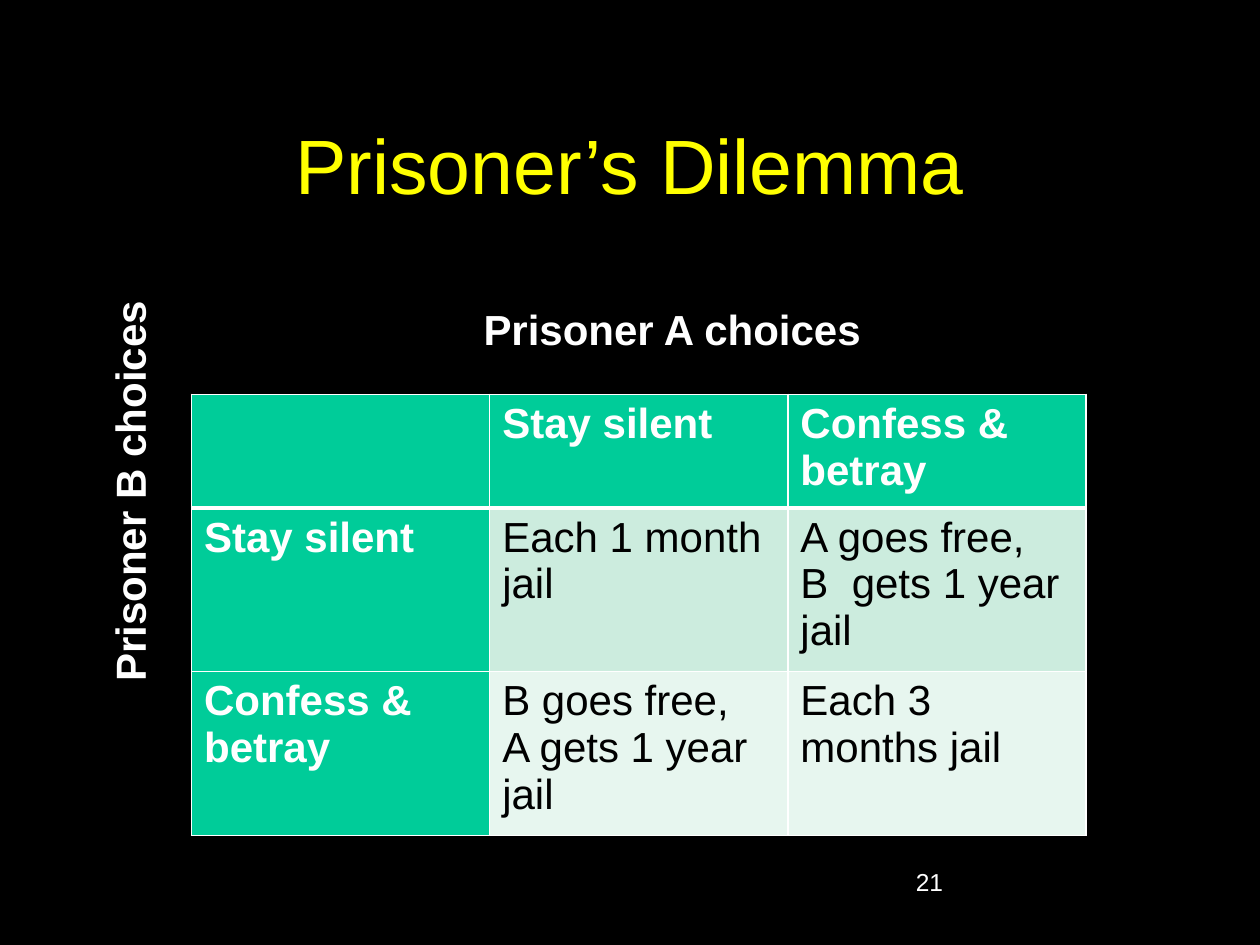
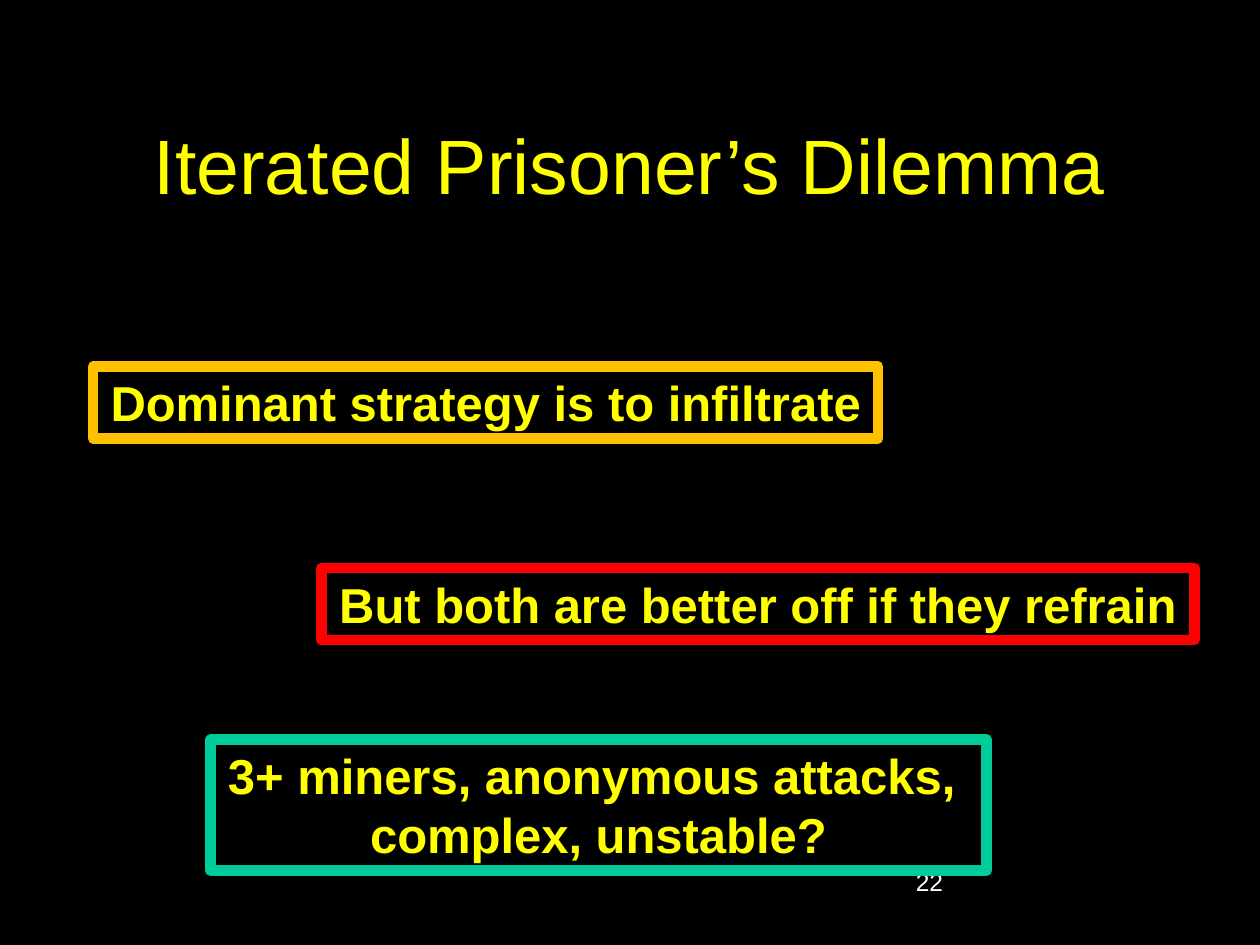
from pptx import Presentation
from pptx.dml.color import RGBColor as RGB
from pptx.enum.shapes import MSO_SHAPE as Shape
from pptx.enum.text import MSO_ANCHOR as Anchor, PP_ALIGN as Align
from pptx.oxml import parse_xml
from pptx.oxml.ns import nsdecls
from pptx.util import Inches, Pt

# Colours
BLACK = RGB(0, 0, 0)
WHITE = RGB(255, 255, 255)
YELLOW = RGB(255, 255, 0)
GREEN = RGB(0x00, 0xCC, 0x99)
MINT = RGB(0xCC, 0xEC, 0xDE)
PALE = RGB(0xE7, 0xF6, 0xEF)
AMBER = RGB(0xFF, 0xC0, 0x00)
RED = RGB(255, 0, 0)

# Text styles: font values, then colour
TITLE = {"size": Pt(44), "bold": False}, YELLOW
NUMBER = {"size": Pt(14), "bold": False}, WHITE
HEAD = {"size": Pt(24), "bold": True}, WHITE
BODY = {"size": Pt(24), "bold": False}, BLACK
CLAIM = {"size": Pt(28), "bold": True}, YELLOW

# Content
PAYOFF = [
    ["", "Stay silent", "Confess & betray"],
    ["Stay silent", "Each 1 month jail", "A goes free, \nB  gets 1 year jail"],
    ["Confess & betray", "B goes free, \nA gets 1 year jail", "Each 3 months jail"],
]
ROWS = [0.84, 1.22, 1.22]
FILLS = [GREEN, MINT, PALE]
AXES = [
    ("Prisoner A choices", (3.58, 2.36, 3.51, 0.5), 0),
    ("Prisoner B choices", (-0.73, 3.65, 3.51, 0.5), 270),
]
CLAIMS = [
    ("Dominant strategy is to infiltrate", (0.74, 2.91, 6.23, 0.57), AMBER),
    ("But both are better off if they refrain", (2.55, 4.51, 6.93, 0.57), RED),
    ("3+ miners, anonymous attacks, \ncomplex, unstable?", (1.67, 5.87, 6.16, 1.04), GREEN),
]


def write(frame, text, style, align):
    """Fill a text frame, one paragraph per line."""
    values, color = style
    for i, line in enumerate(text.split("\n")):
        para = frame.paragraphs[0] if i == 0 else frame.add_paragraph()
        para.alignment = align
        run = para.add_run()
        run.text = line
        for key, value in values.items():
            setattr(run.font, key, value)
        run.font.name = "Arial"
        run.font.color.rgb = color


def add_text(slide, text, at, style, align, anchor):
    frame = slide.shapes.add_textbox(*map(Inches, at)).text_frame
    frame.word_wrap = True
    frame.vertical_anchor = anchor
    write(frame, text, style, align)


def add_box(slide, text, at, style, edge=None, turn=0):
    box = slide.shapes.add_shape(Shape.RECTANGLE, *map(Inches, at))
    box.shadow.inherit = False
    box.rotation = turn
    box.fill.solid()
    box.fill.fore_color.rgb = BLACK
    if edge is None:
        box.line.fill.background()
    else:
        box.line.color.rgb = edge
        box.line.width = Pt(6)
    frame = box.text_frame
    frame.word_wrap = edge is None
    frame.vertical_anchor = Anchor.TOP
    write(frame, text, style, Align.CENTER)


def add_rules(cell, widths):
    """Draw white cell borders; widths maps a side to points."""
    props = cell._tc.get_or_add_tcPr()
    for side, width in widths.items():
        props.append(parse_xml(
            f'<a:ln{side} {nsdecls("a")} w="{Pt(width)}"><a:solidFill>'
            f'<a:srgbClr val="{WHITE}"/></a:solidFill></a:ln{side}>'))


def add_payoff(slide):
    size = len(PAYOFF)
    at = (1.52, 3.13, 7.1, sum(ROWS))
    table = slide.shapes.add_table(size, size, *map(Inches, at)).table
    table.first_row = table.horz_banding = False
    for col in table.columns:
        col.width = Inches(at[2] / size)
    for r, line in enumerate(PAYOFF):
        table.rows[r].height = Inches(ROWS[r])
        for c, text in enumerate(line):
            cell = table.cell(r, c)
            head = r == 0 or c == 0
            add_rules(cell, {"L": 1, "R": 1, "T": 3 if r == 1 else 1,
                             "B": 3 if r == 0 else 1})
            cell.fill.solid()
            cell.fill.fore_color.rgb = GREEN if head else FILLS[r]
            write(cell.text_frame, text, HEAD if head else BODY, Align.LEFT)


def add_slide(deck, title, number):
    """Black slide with the shared title and page number."""
    slide = deck.slides.add_slide(deck.slide_layouts[6])
    slide.background.fill.solid()
    slide.background.fill.fore_color.rgb = BLACK
    add_text(slide, title, (0.75, 0.67, 8.5, 1.25), TITLE, Align.CENTER, Anchor.MIDDLE)
    add_text(slide, number, (7.17, 6.83, 2.08, 0.5), NUMBER, Align.LEFT, Anchor.TOP)
    return slide


def main():
    deck = Presentation()
    deck.slide_width, deck.slide_height = Inches(10), Inches(7.5)

    # Payoff table with its two axis labels
    slide = add_slide(deck, "Prisoner’s Dilemma", "21")
    add_payoff(slide)
    for text, at, turn in AXES:
        add_box(slide, text, at, HEAD, turn=turn)

    # Framed claims
    slide = add_slide(deck, "Iterated Prisoner’s Dilemma", "22")
    for text, at, edge in CLAIMS:
        add_box(slide, text, at, CLAIM, edge)

    deck.save("out.pptx")


if __name__ == "__main__":
    main()
